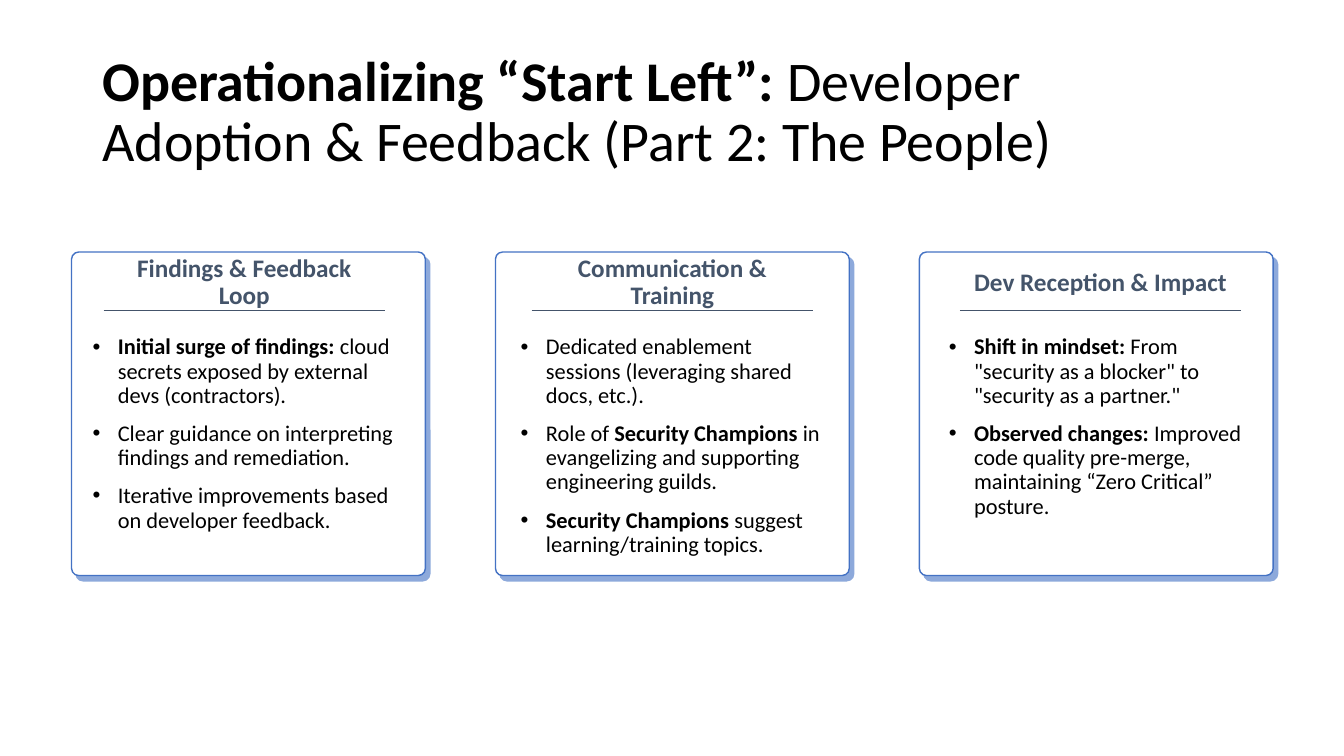
from lxml.etree import SubElement
from pptx import Presentation
from pptx.dml.color import RGBColor
from pptx.enum.shapes import MSO_CONNECTOR, MSO_SHAPE
from pptx.enum.text import MSO_ANCHOR, PP_ALIGN
from pptx.oxml.ns import qn
from pptx.util import Pt

COLORS = {
    "text": "000000",
    "head": "44546A",
    "card": "FFFFFF",
    "edge": "4472C4",
    "shade": "8DA9DB",
}

TITLE = [
    ("Operationalizing “Start Left”:", True),
    (" Developer Adoption & Feedback (Part 2: The People)", False),
]

CARDS = [
    ("Findings & Feedback Loop", [
        [("Initial surge of findings: ", True),
         ("cloud secrets exposed by external devs (contractors).", False)],
        [("Clear guidance on interpreting findings and remediation.", False)],
        [("Iterative improvements based on developer feedback.", False)],
    ]),
    ("Communication & Training", [
        [("Dedicated enablement sessions (leveraging shared docs, etc.).", False)],
        [("Role of ", False), ("Security Champions", True),
         (" in evangelizing and supporting engineering guilds.", False)],
        [("Security Champions ", True),
         ("suggest learning/training topics.", False)],
    ]),
    ("Dev Reception & Impact", [
        [("Shift in mindset:", True),
         (" From \"security as a blocker\" to \"security as a partner.\"", False)],
        [("Observed changes:", True),
         (" Improved code quality pre-merge, maintaining “Zero Critical” posture.",
          False)],
    ]),
]

CARD_LEFT, CARD_STEP = 51.1, 302.8
TEXT_LEFT, TEXT_STEP = 66.2, 305.8
HEAD_SHIFT, HEAD_WIDTH = 7.8, 200.9


def color(name):
    return RGBColor.from_string(COLORS[name])


def add_runs(para, runs, size, tint):
    para.line_spacing = 0.9
    for text, bold in runs:
        run = para.add_run()
        run.text = text
        run.font.name = "Calibri"
        run.font.size = Pt(size)
        run.font.bold = bold
        run.font.color.rgb = color(tint)


def add_box(shapes, left, top, width, height, side=7.2, anchor=MSO_ANCHOR.MIDDLE):
    box = shapes.add_textbox(Pt(left), Pt(top), Pt(width), Pt(height))
    frame = box.text_frame
    frame.word_wrap = True
    frame.vertical_anchor = anchor
    frame.margin_left = frame.margin_right = Pt(side)
    frame.margin_top = frame.margin_bottom = Pt(3.6)
    return frame


def add_bullet(para):
    props = para._p.get_or_add_pPr()
    props.set("marL", str(Pt(18)))
    props.set("indent", str(Pt(-18)))
    tint = SubElement(props, qn("a:buClr"))
    SubElement(tint, qn("a:srgbClr"), val=COLORS["text"])
    SubElement(props, qn("a:buFont"), typeface="Arial")
    SubElement(props, qn("a:buChar"), char="•")


def add_shade(shape):
    shape.shadow.inherit = False
    effects = shape._element.spPr.find(qn("a:effectLst"))
    shade = SubElement(effects, qn("a:outerShdw"), blurRad="0", dist=str(Pt(5)),
                       dir=str(50 * 60000), algn="tl", rotWithShape="0")
    SubElement(shade, qn("a:srgbClr"), val=COLORS["shade"])


def add_panel(shapes, left):
    panel = shapes.add_shape(MSO_SHAPE.ROUNDED_RECTANGLE, Pt(left), Pt(180),
                             Pt(252.7), Pt(231.1))
    panel.adjustments[0] = 0.022
    panel.fill.solid()
    panel.fill.fore_color.rgb = color("card")
    panel.line.color.rgb = color("edge")
    panel.line.width = Pt(1)
    add_shade(panel)


def add_rule(shapes, left):
    rule = shapes.add_connector(MSO_CONNECTOR.STRAIGHT, Pt(left), Pt(221.8),
                                Pt(left + HEAD_WIDTH), Pt(221.8))
    rule.line.color.rgb = color("head")
    rule.line.width = Pt(1)
    SubElement(rule._element.spPr, qn("a:effectLst"))


def add_head(shapes, left, text):
    para = add_box(shapes, left, 185.8, HEAD_WIDTH, 32.4).paragraphs[0]
    para.alignment = PP_ALIGN.CENTER
    add_runs(para, [(text, True)], 18, "head")


def add_list(shapes, left, points):
    frame = add_box(shapes, left, 236.2, 216, 164.2, 0, MSO_ANCHOR.TOP)
    for index, runs in enumerate(points):
        para = frame.add_paragraph() if index else frame.paragraphs[0]
        add_bullet(para)
        if index:
            para.space_before = Pt(10)
        add_runs(para, runs, 16, "text")


def add_card(slide, index, head, points):
    shapes = slide.shapes.add_group_shape().shapes
    left = TEXT_LEFT + index * TEXT_STEP
    add_panel(shapes, CARD_LEFT + index * CARD_STEP)
    add_rule(shapes, left + HEAD_SHIFT)
    add_head(shapes, left + HEAD_SHIFT, head)
    add_list(shapes, left, points)


def main():
    deck = Presentation()
    deck.slide_width, deck.slide_height = Pt(960), Pt(540)
    slide = deck.slides.add_slide(deck.slide_layouts[6])
    title = add_box(slide.shapes, 66, 28.75, 828, 104.4)
    add_runs(title.paragraphs[0], TITLE, 40, "text")
    for index, (head, points) in enumerate(CARDS):
        add_card(slide, index, head, points)
    deck.save("out.pptx")


if __name__ == "__main__":
    main()
